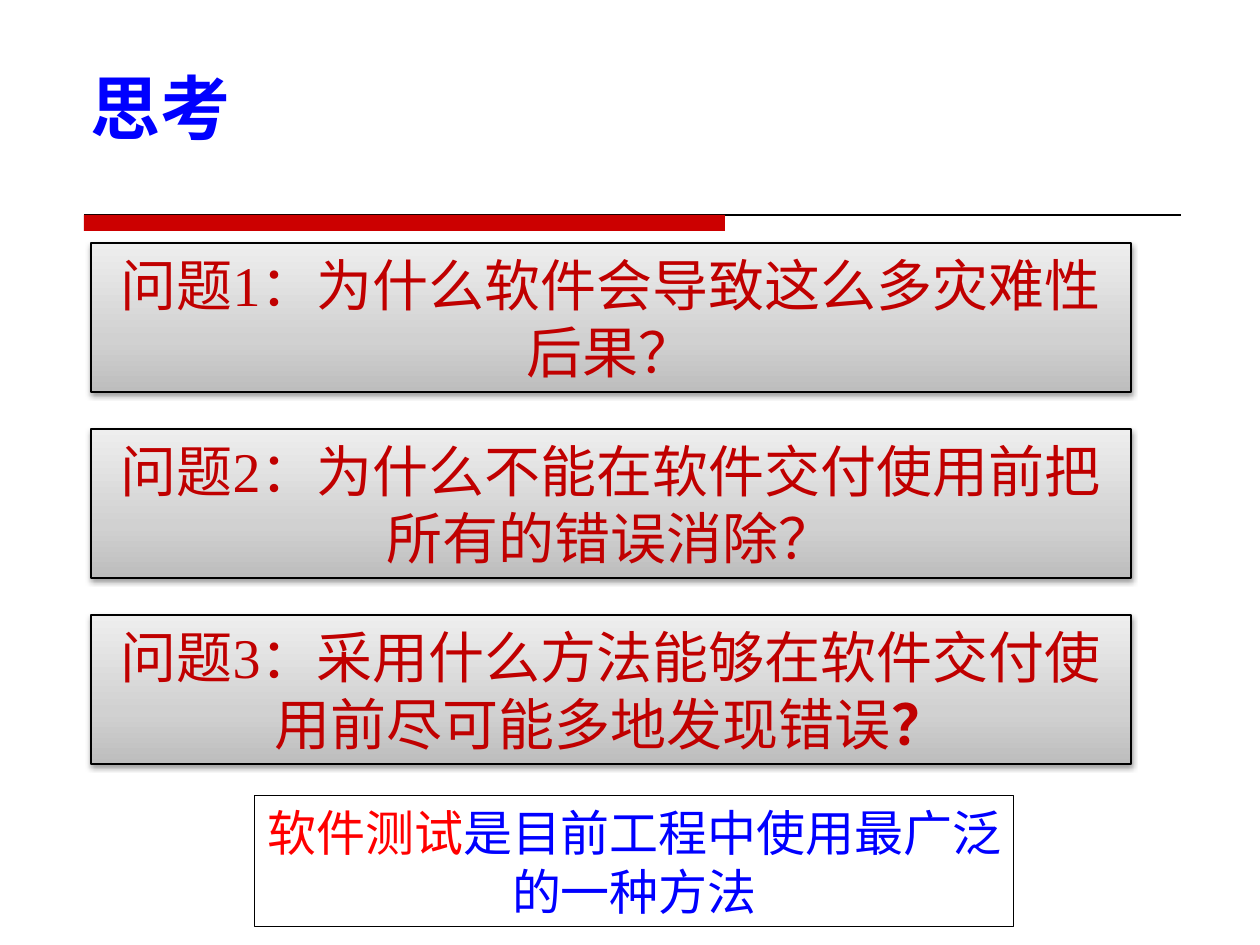
from lxml.etree import SubElement
from pptx import Presentation
from pptx.dml.color import RGBColor
from pptx.enum.shapes import MSO_CONNECTOR, MSO_SHAPE
from pptx.enum.text import MSO_ANCHOR, MSO_AUTO_SIZE, PP_ALIGN
from pptx.oxml import parse_xml
from pptx.oxml.ns import nsdecls, qn
from pptx.util import Pt

SCALE = 914400 / 126
BLUE = RGBColor(0x00, 0x00, 0xFF)
RED = RGBColor(0xFF, 0x00, 0x00)
DARK_RED = RGBColor(0xC0, 0x00, 0x00)
BAR_RED = RGBColor(0xCC, 0x00, 0x00)
BLACK = RGBColor(0x00, 0x00, 0x00)
WHITE = RGBColor(0xFF, 0xFF, 0xFF)
SILVER = [(0, RGBColor(0xBD, 0xBD, 0xBD)), (35, RGBColor(0xD1, 0xD1, 0xD1)),
          (100, RGBColor(0xEE, 0xEE, 0xEE))]
SANS = "Noto Sans CJK SC"
SERIF = "Times New Roman"

QUESTIONS = [
    [("问题1：为什么软件会导致这么多灾难性后果？", False)],
    [("问题2：为什么不能在软件交付使用前把所有的错误消除？", False)],
    [("问题3：采用什么方法能够在软件交付使用前尽可能多地发现错误", False), ("？", True)],
]


def px(*lengths):
    return [round(length * SCALE) for length in lengths]


def add_text(paragraph, text, size, color, font=SANS, bold=False):
    run = paragraph.add_run()
    run.text = text
    run.font.size = Pt(size)
    run.font.bold = bold
    run.font.color.rgb = color
    run.font.name = font
    SubElement(run.font._element, qn("a:ea")).set("typeface", SANS)


class SlideBuilder:
    """Holds the style and the current slide, and draws each kind of element."""

    def __init__(self, presentation):
        self.slide = presentation.slides.add_slide(presentation.slide_layouts[5])

    def title(self, text, left, top, width, height):
        shape = self.slide.shapes.title
        shape.left, shape.top, shape.width, shape.height = px(left, top, width, height)
        frame = shape.text_frame
        frame.word_wrap = False
        frame.auto_size = MSO_AUTO_SIZE.NONE
        frame.vertical_anchor = MSO_ANCHOR.TOP
        paragraph = frame.paragraphs[0]
        paragraph.alignment = PP_ALIGN.LEFT
        paragraph.line_spacing = 1.1
        add_text(paragraph, text, size=40, color=BLUE, bold=True)

    def box(self, left, top, width, height, fill, line=None, line_width=0.75):
        shape = self.slide.shapes.add_shape(
            MSO_SHAPE.RECTANGLE, *px(left, top, width, height))
        shape.shadow.inherit = False
        shape.fill.solid()
        shape.fill.fore_color.rgb = fill
        if line is None:
            shape.line.fill.background()
        else:
            shape.line.color.rgb = line
            shape.line.width = Pt(line_width)
        shape.text_frame.word_wrap = True
        shape.text_frame.paragraphs[0].alignment = PP_ALIGN.CENTER
        return shape

    def question(self, runs, left, top, width, height):
        shape = self.box(left, top, width, height, WHITE, BLACK)
        properties = shape._element.spPr
        stops = "".join(
            f'<a:gs pos="{position * 1000}"><a:srgbClr val="{color}"/></a:gs>'
            for position, color in SILVER)
        properties.replace(properties.find(qn("a:solidFill")), parse_xml(
            f'<a:gradFill {nsdecls("a")} rotWithShape="1"><a:gsLst>{stops}</a:gsLst>'
            '<a:lin ang="16200000" scaled="1"/></a:gradFill>'))
        properties.find(qn("a:effectLst")).append(parse_xml(
            f'<a:outerShdw {nsdecls("a")} blurRad="40000" dist="20000" dir="5400000" '
            'rotWithShape="0"><a:srgbClr val="000000"><a:alpha val="38000"/>'
            '</a:srgbClr></a:outerShdw>'))
        for text, bold in runs:
            add_text(shape.text_frame.paragraphs[0], text, size=32,
                     color=DARK_RED, font=SERIF, bold=bold)

    def answer(self, runs, left, top, width, height):
        shape = self.box(left, top, width, height, WHITE, BLACK, 0.5)
        for text, color in runs:
            add_text(shape.text_frame.paragraphs[0], text, size=28, color=color)

    def rule(self, left, right, top):
        connector = self.slide.shapes.add_connector(
            MSO_CONNECTOR.STRAIGHT, *px(left, top, right, top))
        connector.line.color.rgb = BLACK
        connector.line.width = Pt(0.75)
        SubElement(connector._element.spPr, qn("a:effectLst"))


def main():
    presentation = Presentation()
    presentation.slide_width, presentation.slide_height = px(1260, 945)
    builder = SlideBuilder(presentation)
    builder.title("思考", 78, 50, 168, 95)
    builder.rule(84, 1181, 215)
    builder.box(84, 215, 641, 16, BAR_RED)
    for index, runs in enumerate(QUESTIONS):
        builder.question(runs, 91, 243 + index * 186, 1040, 149)
    builder.answer([("软件测试", RED), ("是目前工程中使用最广泛的一种方法", BLUE)],
                   255, 795, 759, 132)
    presentation.save("out.pptx")


if __name__ == "__main__":
    main()
